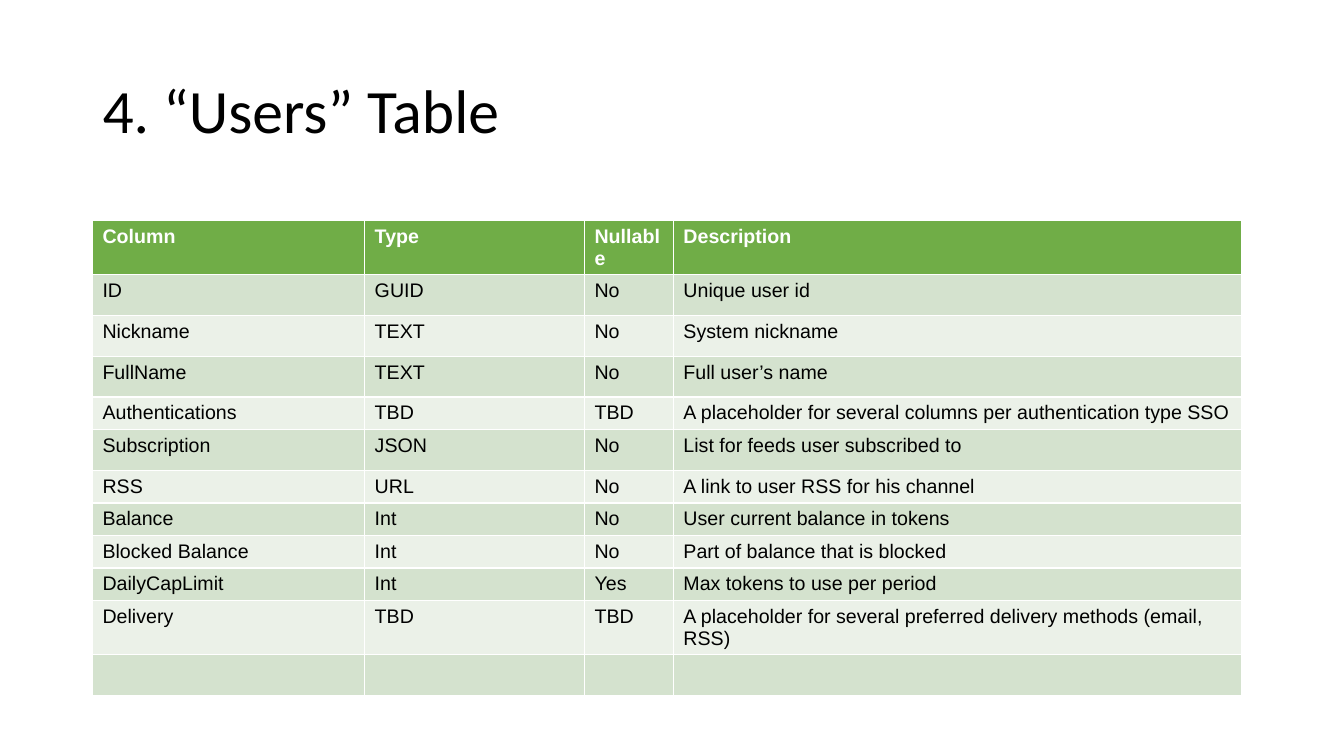
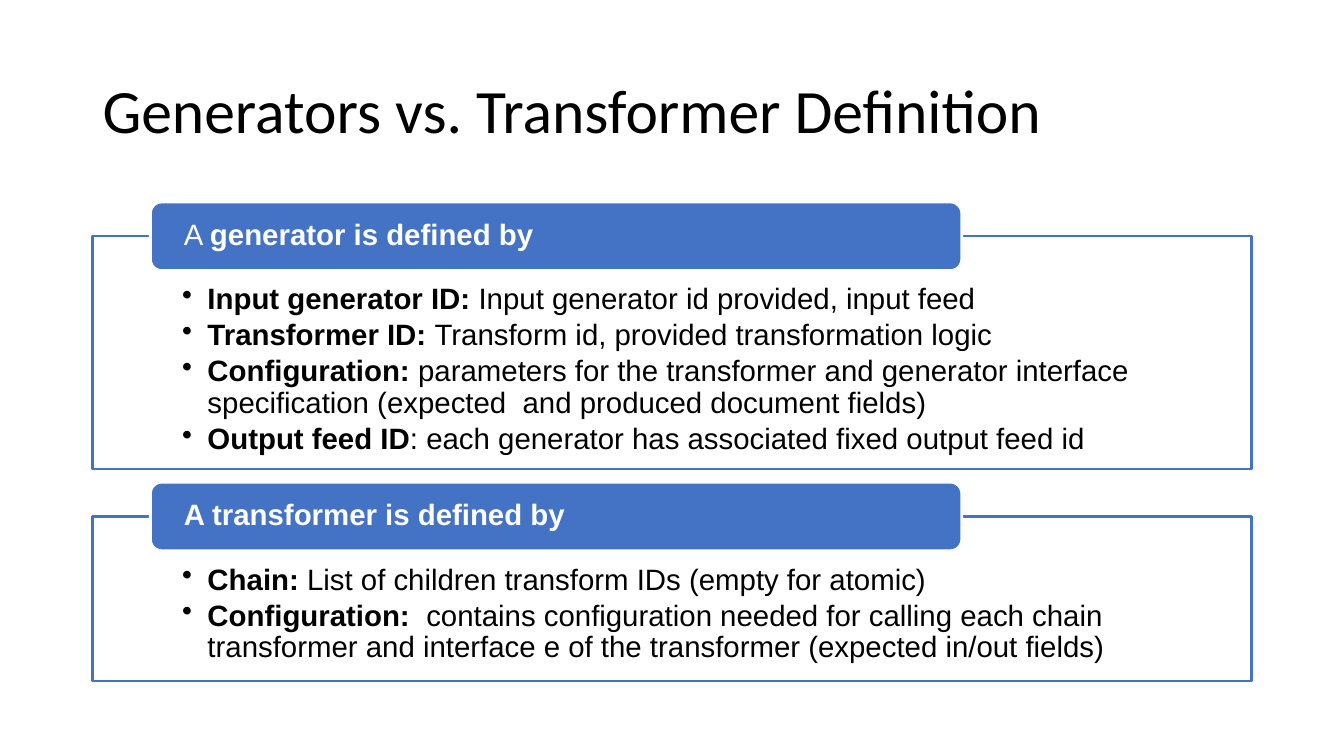
import pptx
import pptx.util
import pptx.dml.color
import pptx.enum.shapes
import pptx.enum.text
import pptx.oxml
import pptx.oxml.ns
from pptx.util import Cm, Pt

COLORS = {
    "black": "000000",
    "white": "FFFFFF",
    "blue": "4472C4",
    "green": "70AD47",
    "band_dark": "D4E2CE",
    "band_light": "EBF1E8",
}
LEFT, CONTENT_WIDTH = 2.33, 29.21


def rgb(name):
    return pptx.dml.color.RGBColor.from_string(COLORS[name])


def add_panel(slide, kind, box, fill, line, margins, anchor):
    """Add a filled, outlined shape ready for left-aligned text."""
    shape = slide.shapes.add_shape(kind, *[Cm(length) for length in box])
    shape.shadow.inherit = False
    shape.fill.solid()
    shape.fill.fore_color.rgb = rgb(fill)
    shape.line.color.rgb = rgb(line)
    shape.line.width = Pt(2)
    frame = shape.text_frame
    frame.word_wrap = True
    frame.vertical_anchor = anchor
    frame.margin_left = frame.margin_right = Cm(margins[0])
    frame.margin_top, frame.margin_bottom = Cm(margins[1]), Cm(margins[2])
    return frame


presentation = pptx.Presentation()
presentation.slide_width = Cm(33.87)
presentation.slide_height = Cm(19.05)

# Slides with their titles
slides = []
for title_text in ["4. “Users” Table", "Generators vs. Transformer Definition"]:
    slide = presentation.slides.add_slide(presentation.slide_layouts[5])
    title = slide.shapes.title
    title.left, title.top = Cm(LEFT), Cm(1.01)
    title.width, title.height = Cm(CONTENT_WIDTH), Cm(3.68)
    title.text_frame.text = title_text
    title.text_frame.vertical_anchor = pptx.enum.text.MSO_ANCHOR.MIDDLE
    paragraph = title.text_frame.paragraphs[0]
    paragraph.alignment = pptx.enum.text.PP_ALIGN.LEFT
    paragraph.line_spacing = 0.9
    paragraph.font.name = "Calibri"
    paragraph.font.size = Pt(44)
    paragraph.font.color.rgb = rgb("black")
    slides.append(slide)
table_slide, definition_slide = slides

# Users table: row height, then cell texts
SHORT, MEDIUM, TALL = 0.82, 1.03, 1.36
rows = [
    (TALL, "Column", "Type", "Nullable", "Description"),
    (MEDIUM, "ID", "GUID", "No", "Unique user id"),
    (MEDIUM, "Nickname", "TEXT", "No", "System nickname"),
    (MEDIUM, "FullName", "TEXT", "No", "Full user’s name"),
    (SHORT, "Authentications", "TBD", "TBD",
     "A placeholder for several columns per authentication type SSO"),
    (MEDIUM, "Subscription", "JSON", "No", "List for feeds user subscribed to"),
    (SHORT, "RSS", "URL", "No", "A link to user RSS for his channel"),
    (SHORT, "Balance", "Int", "No", "User current balance in tokens"),
    (SHORT, "Blocked Balance", "Int", "No", "Part of balance that is blocked"),
    (SHORT, "DailyCapLimit", "Int", "Yes", "Max tokens to use per period"),
    (TALL, "Delivery", "TBD", "TBD",
     "A placeholder for several preferred delivery methods (email, RSS)"),
    (MEDIUM, "", "", "", ""),
]
column_widths = [6.86, 5.54, 2.24, 14.33]
table = table_slide.shapes.add_table(
    len(rows), len(column_widths), Cm(LEFT), Cm(5.55),
    Cm(sum(column_widths)), Cm(sum(row[0] for row in rows))).table
for column, width in zip(table.columns, column_widths):
    column.width = Cm(width)
for row_index, (height, *texts) in enumerate(rows):
    table.rows[row_index].height = Cm(height)
    is_header = row_index == 0
    band = "band_dark" if row_index % 2 else "band_light"
    for column_index, text in enumerate(texts):
        cell = table.cell(row_index, column_index)
        cell.fill.solid()
        cell.fill.fore_color.rgb = rgb("green" if is_header else band)
        cell.text = text
        paragraph = cell.text_frame.paragraphs[0]
        paragraph.font.name = "Arial"
        paragraph.font.size = Pt(14)
        paragraph.font.bold = is_header
        paragraph.font.color.rgb = rgb("white" if is_header else "black")

# Definition panels: frame height, heading runs, bullets as term and meaning
panels = [
    (5.87, [("A ", False), ("generator is defined by", True)], [
        ("Input generator ID:", " Input generator id provided, input feed"),
        ("Transformer ID: ", "Transform id, provided transformation logic"),
        ("Configuration: ", "parameters for the transformer and generator interface "
         "specification (expected  and produced document fields)"),
        ("Output feed ID", ": each generator has associated fixed output feed id"),
    ]),
    (4.15, [("A transformer is defined by", True)], [
        ("Chain: ", "List of children transform IDs (empty for atomic)"),
        ("Configuration: ", " contains configuration needed for calling each chain "
         "transformer and interface e of the transformer (expected in/out fields)"),
    ]),
]
PANEL_GAP = 1.19
shape_kinds = pptx.enum.shapes.MSO_SHAPE
anchors = pptx.enum.text.MSO_ANCHOR
top = 5.95
for height, heading, bullets in panels:
    body = add_panel(definition_slide, shape_kinds.RECTANGLE,
                     (LEFT, top, CONTENT_WIDTH, height), "white", "blue",
                     (2.26, 1.22, 0.41), anchors.TOP)
    tab = add_panel(definition_slide, shape_kinds.ROUNDED_RECTANGLE,
                    (3.79, top - 0.86, 20.45, 1.73), "blue", "white",
                    (0.76, 0, 0), anchors.MIDDLE)
    bullet_runs = [[(term, True), (meaning, False)] for term, meaning in bullets]
    for frame, lines, color in [(body, bullet_runs, "black"), (tab, [heading], "white")]:
        for line_index, runs in enumerate(lines):
            paragraph = frame.paragraphs[0] if line_index == 0 else frame.add_paragraph()
            paragraph.alignment = pptx.enum.text.PP_ALIGN.LEFT
            paragraph.line_spacing = 0.9
            if frame is body:
                paragraph.space_after = Pt(3)
                properties = paragraph._p.get_or_add_pPr()
                properties.set("marL", str(Cm(0.64)))
                properties.set("indent", str(-Cm(0.64)))
                bullet = pptx.oxml.parse_xml(
                    '<a:buChar %s char="•"/>' % pptx.oxml.ns.nsdecls("a"))
                properties.append(bullet)
            paragraph.font.name = "Arial"
            paragraph.font.size = Pt(21)
            paragraph.font.color.rgb = rgb(color)
            for text, bold in runs:
                run = paragraph.add_run()
                run.text = text
                run.font.bold = bold
    top += height + PANEL_GAP

presentation.save("out.pptx")
